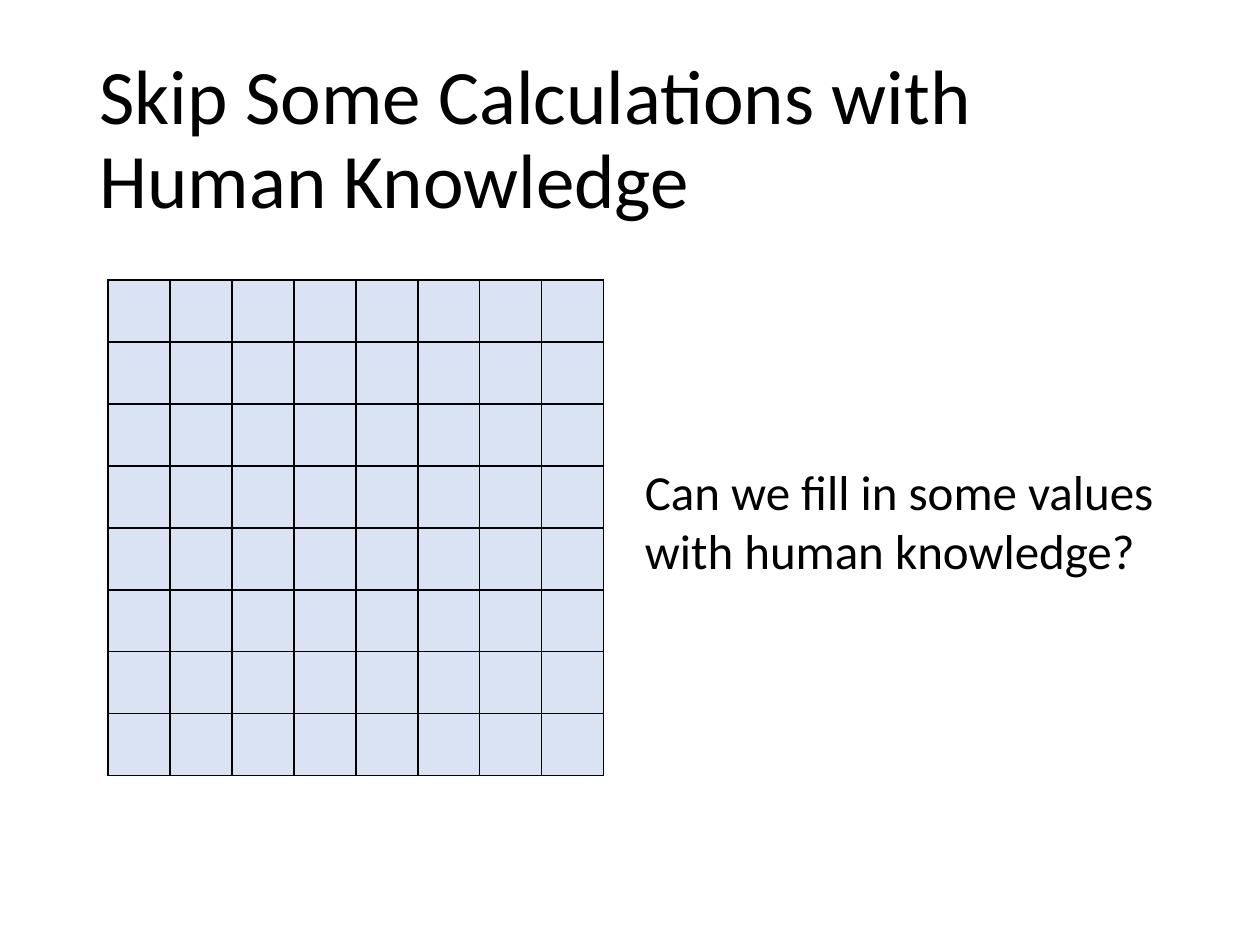
from lxml import etree
from pptx import Presentation
from pptx import util as u
from pptx.dml.color import RGBColor
from pptx.enum import text
from pptx.oxml import ns

PX = 914400 / 126


def px(length):
    return u.Emu(round(length * PX))


def color(value):
    return RGBColor.from_string(value)


def assign(target, values):
    for name, value in values.items():
        setattr(target, name, value)


class SlideBuilder:
    font = "Calibri"
    ink = "000000"
    cell_fill = "DAE3F3"
    border_width = u.Pt(1)

    def __init__(self, slide):
        self.slide = slide

    def text_box(self, left, top, width, height, content, size, frame_format, line_spacing=1.0):
        shape = self.slide.shapes.add_textbox(*map(px, (left, top, width, height)))
        frame = shape.text_frame
        assign(frame, {"word_wrap": True, **frame_format})
        paragraph = frame.paragraphs[0]
        paragraph.line_spacing = line_spacing
        run = paragraph.add_run()
        run.text = content
        assign(run.font, {"name": self.font, "size": u.Pt(size)})
        run.font.color.rgb = color(self.ink)

    def border(self, cell):
        properties = cell._tc.get_or_add_tcPr()
        for side in ("lnL", "lnR", "lnT", "lnB"):
            line = etree.SubElement(properties, ns.qn(f"a:{side}"), w=str(self.border_width))
            fill = etree.SubElement(line, ns.qn("a:solidFill"))
            etree.SubElement(fill, ns.qn("a:srgbClr"), val=self.ink)

    def grid(self, left, top, count, cell_size):
        side = count * cell_size
        shape = self.slide.shapes.add_table(count, count, *map(px, (left, top, side, side)))
        table = shape.table
        assign(table, {"first_row": False, "horz_banding": False})
        for column in table.columns:
            column.width = px(cell_size)
        for row in table.rows:
            row.height = px(cell_size)
        for cell in table.iter_cells():
            self.border(cell)
            cell.fill.solid()
            cell.fill.fore_color.rgb = color(self.cell_fill)


def main():
    presentation = Presentation()
    assign(presentation, {"slide_width": px(1260), "slide_height": px(945)})
    builder = SlideBuilder(presentation.slides.add_slide(presentation.slide_layouts[6]))

    builder.text_box(
        87, 50, 1086, 183, "Skip Some Calculations with Human Knowledge", 44,
        {"vertical_anchor": text.MSO_ANCHOR.MIDDLE}, line_spacing=0.9,
    )
    builder.grid(108, 280, count=8, cell_size=62)
    no_margins = dict.fromkeys(("margin_left", "margin_top", "margin_right", "margin_bottom"), 0)
    builder.text_box(
        645, 462, 582, 118, "Can we fill in some values with human knowledge?", 28,
        {"auto_size": text.MSO_AUTO_SIZE.SHAPE_TO_FIT_TEXT, **no_margins},
    )
    presentation.save("out.pptx")


if __name__ == "__main__":
    main()
